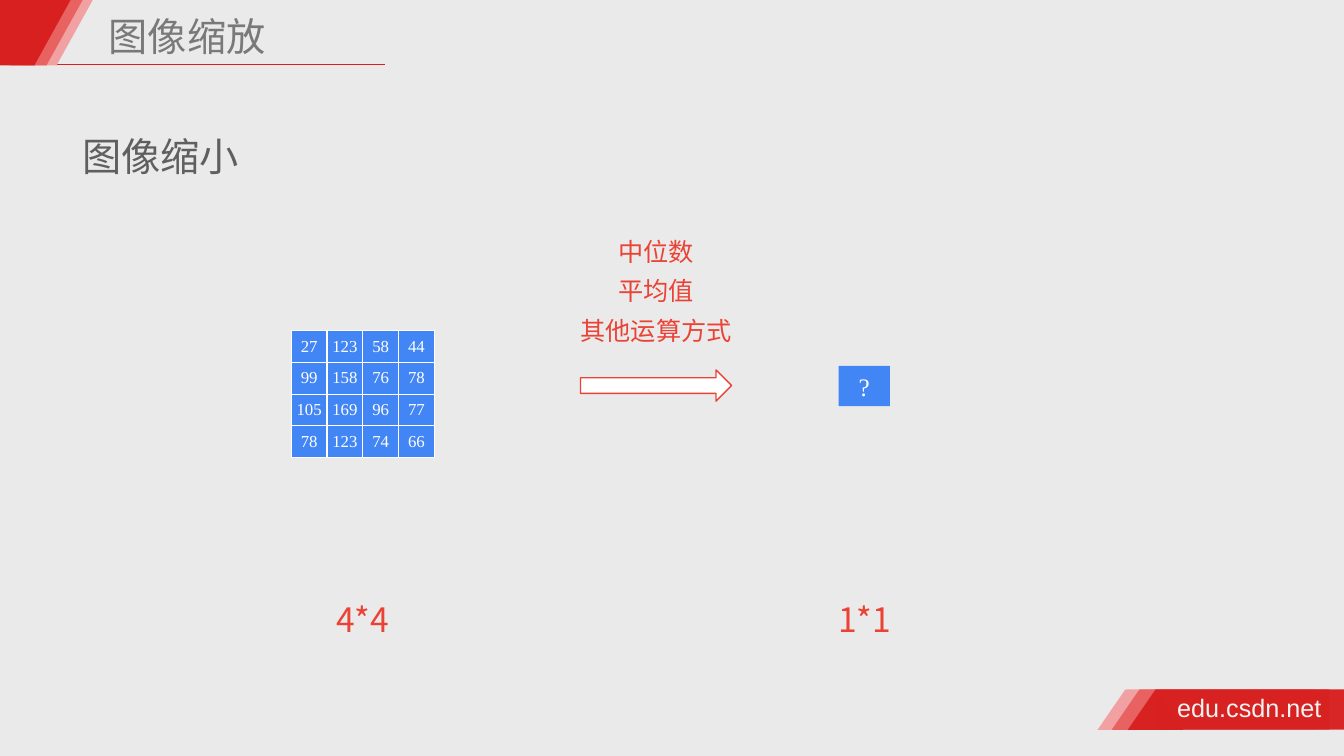
from dataclasses import dataclass

from lxml.etree import SubElement
from pptx import Presentation
from pptx.dml.color import RGBColor
from pptx.enum.shapes import MSO_CONNECTOR, MSO_SHAPE as Preset
from pptx.enum.text import MSO_ANCHOR as Anchor, PP_ALIGN as Align
from pptx.oxml.ns import qn
from pptx.shapes.autoshape import Shape
from pptx.text.text import TextFrame, _Paragraph as Paragraph
from pptx.util import Emu, Length, Pt

EMU_PER_PX = 4572  # 200 px to the inch
SLIDE_W, SLIDE_H = 2667, 1500

BACKGROUND = RGBColor(0xEA, 0xEA, 0xEA)
RED = RGBColor(0xD8, 0x20, 0x20)
MID_RED = RGBColor(0xE8, 0x62, 0x62)
PALE_RED = RGBColor(0xF1, 0xA1, 0xA1)
ACCENT = RGBColor(0xEA, 0x43, 0x35)
BLUE = RGBColor(0x42, 0x85, 0xF4)
MATRIX_EDGE = RGBColor(0x4A, 0x69, 0x82)
TITLE_GREY = RGBColor(0x79, 0x79, 0x79)
HEADING_GREY = RGBColor(0x5F, 0x5F, 0x5F)
OFF_WHITE = RGBColor(0xF2, 0xF2, 0xF2)
WHITE = RGBColor(0xFF, 0xFF, 0xFF)

SANS, SERIF, LATIN = "Noto Sans CJK SC", "Times New Roman", "Arial"

PIXELS = [
    [27, 123, 58, 44],
    [99, 158, 76, 78],
    [105, 169, 96, 77],
    [78, 123, 74, 66],
]
CELL_W, CELL_H = 71, 63


@dataclass(frozen=True)
class Box:
    left: int
    top: int
    width: int
    height: int

    def emu(self) -> tuple[Length, ...]:
        return tuple(px(n) for n in (self.left, self.top, self.width, self.height))


@dataclass(frozen=True)
class Style:
    size: int
    color: RGBColor
    face: str = SANS
    align: Align = Align.LEFT
    spacing: float | Length = 1.0


@dataclass(frozen=True)
class Label:
    box: Box
    lines: tuple[str, ...]
    style: Style
    inset: int = 10
    wrap: bool = True


@dataclass(frozen=True)
class Stripe:
    """One slanted band of a corner ribbon, placed by the left of its triangle."""
    left: int
    color: RGBColor
    alpha: int = 100


CAPTION = Style(24, ACCENT, align=Align.CENTER, spacing=1.5)
TITLE = Label(Box(206, 24, 872, 106), ("图像缩放",), Style(28, TITLE_GREY, spacing=0.9))
LABELS = [
    Label(Box(2326, 1364, 310, 80), ("edu.csdn.net",), Style(18, OFF_WHITE, LATIN), wrap=False),
    Label(Box(144, 214, 1300, 144), ("图像缩小",), Style(28, HEADING_GREY, spacing=1.5), 20),
    Label(Box(620, 1138, 200, 142), ("4*4",), CAPTION),
    Label(Box(1616, 1138, 200, 142), ("1*1",), CAPTION),
    Label(Box(960, 444, 684, 248), ("中位数", "平均值", "其他运算方式"),
          Style(18, ACCENT, align=Align.CENTER, spacing=Pt(28)), 20),
]
HEADER_STRIPES = [Stripe(40, PALE_RED), Stripe(20, MID_RED), Stripe(-4, RED)]
FOOTER_STRIPES = [Stripe(2178, PALE_RED), Stripe(2206, MID_RED), Stripe(2238, RED, 97)]


def px(count: int) -> Length:
    return Emu(count * EMU_PER_PX)


def set_all(target: object, values: dict[str, object]) -> None:
    for name, value in values.items():
        setattr(target, name, value)


def style_paragraph(paragraph: Paragraph, text: str, style: Style) -> None:
    set_all(paragraph, {"alignment": style.align, "line_spacing": style.spacing,
                        "space_before": Pt(0), "space_after": Pt(0)})
    run = paragraph.add_run()
    run.text = text
    set_all(run.font, {"size": Pt(style.size), "name": style.face, "bold": False})
    run.font.color.rgb = style.color
    SubElement(run._r.get_or_add_rPr(), qn("a:ea"), typeface=style.face)


def fill_frame(frame: TextFrame, lines: tuple[str, ...], style: Style,
               inset: int = 10, wrap: bool = True) -> None:
    set_all(frame, {"word_wrap": wrap, "vertical_anchor": Anchor.MIDDLE,
                    "margin_left": px(inset), "margin_right": px(inset),
                    "margin_top": px(10), "margin_bottom": px(10)})
    for index, line in enumerate(lines):
        paragraph = frame.add_paragraph() if index else frame.paragraphs[0]
        style_paragraph(paragraph, line, style)


def add_preset(shapes, preset: Preset, box: Box, fill: RGBColor,
               edge: RGBColor | None = None, alpha: int = 100) -> Shape:
    shape = shapes.add_shape(preset, *box.emu())
    shape.shadow.inherit = False
    shape.fill.solid()
    shape.fill.fore_color.rgb = fill
    if alpha < 100:
        color = shape._element.spPr.find(qn("a:solidFill"))[0]
        SubElement(color, qn("a:alpha"), val=str(alpha * 1000))
    if edge is None:
        shape.line.fill.background()
    else:
        shape.line.color.rgb = edge
        shape.line.width = Pt(1)
    return shape


def add_header_ribbon(shapes) -> None:
    for stripe in HEADER_STRIPES:
        start = max(stripe.left, 0)
        add_preset(shapes, Preset.RECTANGLE,
                   Box(start, 0, stripe.left + 72 - start, 130), stripe.color)
        point = add_preset(shapes, Preset.ISOSCELES_TRIANGLE,
                           Box(stripe.left, 0, 144, 130), stripe.color)
        point.rotation = 180


def add_footer_ribbon(shapes) -> None:
    for stripe in FOOTER_STRIPES:
        start = stripe.left + 56
        add_preset(shapes, Preset.RECTANGLE,
                   Box(start, 1368, min(376, SLIDE_W - start), 80),
                   stripe.color, alpha=stripe.alpha)
        add_preset(shapes, Preset.ISOSCELES_TRIANGLE, Box(stripe.left, 1368, 110, 80),
                   stripe.color, alpha=stripe.alpha)


def add_title_rule(shapes) -> None:
    rule = shapes.add_connector(MSO_CONNECTOR.STRAIGHT, px(98), px(128), px(764), px(128))
    rule.line.color.rgb = RED
    rule.line.width = Pt(1)
    SubElement(rule._element.spPr, qn("a:effectLst"))


def add_cell_borders(cell) -> None:
    for side in ("lnL", "lnR", "lnT", "lnB"):
        border = SubElement(cell._tc.get_or_add_tcPr(), qn(f"a:{side}"), w=str(Pt(1)))
        fill = SubElement(border, qn("a:solidFill"))
        SubElement(fill, qn("a:srgbClr"), val=str(WHITE))


def add_pixel_matrix(shapes) -> None:
    rows, columns = len(PIXELS), len(PIXELS[0])
    box = Box(578, 656, columns * CELL_W, rows * CELL_H)
    add_preset(shapes, Preset.RECTANGLE, box, BLUE, MATRIX_EDGE)
    matrix = shapes.add_table(rows, columns, *box.emu()).table
    set_all(matrix, {"first_row": False, "horz_banding": False})
    style = Style(12, WHITE, SERIF, Align.CENTER)
    for row, values in enumerate(PIXELS):
        for column, value in enumerate(values):
            cell = matrix.cell(row, column)
            set_all(cell, {"margin_left": 0, "margin_right": 0, "margin_top": 0,
                           "margin_bottom": 0, "vertical_anchor": Anchor.MIDDLE})
            add_cell_borders(cell)
            cell.fill.solid()
            cell.fill.fore_color.rgb = BLUE
            style_paragraph(cell.text_frame.paragraphs[0], str(value), style)


def main() -> None:
    deck = Presentation()
    set_all(deck, {"slide_width": px(SLIDE_W), "slide_height": px(SLIDE_H)})
    slide = deck.slides.add_slide(deck.slide_layouts[5])
    slide.background.fill.solid()
    slide.background.fill.fore_color.rgb = BACKGROUND
    shapes = slide.shapes

    title = shapes.title
    set_all(title, dict(zip(("left", "top", "width", "height"), TITLE.box.emu())))
    fill_frame(title.text_frame, TITLE.lines, TITLE.style)

    add_title_rule(shapes)
    add_footer_ribbon(shapes)
    add_header_ribbon(shapes)
    add_pixel_matrix(shapes)
    add_preset(shapes, Preset.RIGHT_ARROW, Box(1152, 734, 300, 62), WHITE, ACCENT)
    result = add_preset(shapes, Preset.RECTANGLE, Box(1664, 726, 102, 80), BLUE)
    fill_frame(result.text_frame, ("?",), Style(18, WHITE, SERIF, Align.CENTER))
    for label in LABELS:
        frame = shapes.add_textbox(*label.box.emu()).text_frame
        fill_frame(frame, label.lines, label.style, label.inset, label.wrap)

    deck.save("out.pptx")


if __name__ == "__main__":
    main()
